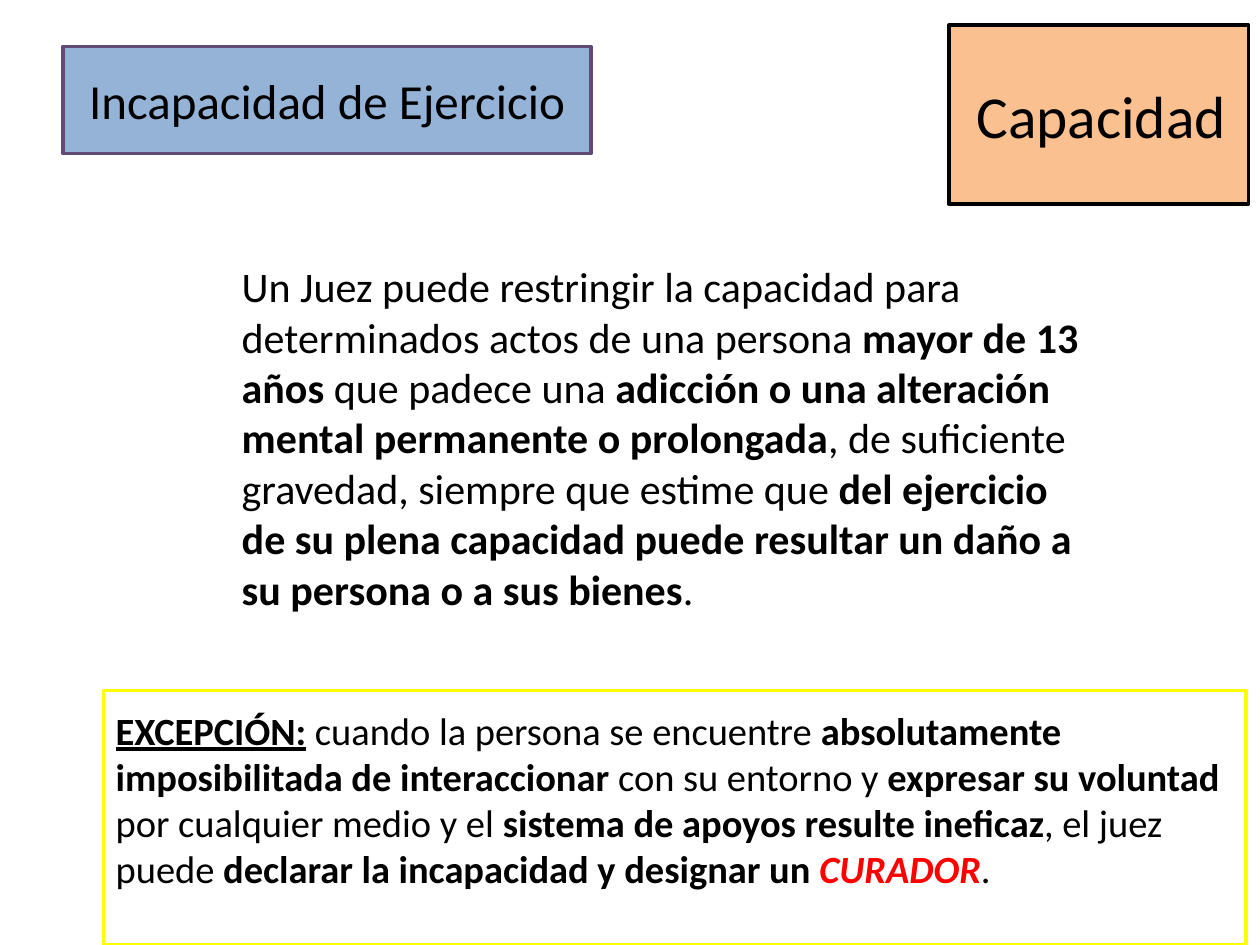
from dataclasses import dataclass

from pptx import Presentation
from pptx.dml.color import RGBColor
from pptx.enum.shapes import MSO_SHAPE
from pptx.enum.text import MSO_ANCHOR, PP_ALIGN
from pptx.util import Inches, Pt

FONT = "Calibri"
BLACK = "000000"


@dataclass(frozen=True)
class Span:
    text: str
    bold: bool = False
    italic: bool = False
    underline: bool = False
    color: str = ""


@dataclass(frozen=True)
class Panel:
    left: float
    top: float
    width: float
    height: float
    size: int
    spans: tuple[Span, ...]
    fill: str = ""
    line: str = ""
    align: PP_ALIGN = PP_ALIGN.LEFT
    anchor: MSO_ANCHOR = MSO_ANCHOR.TOP
    insets: tuple[float, float, float, float] = (0.1, 0.05, 0.1, 0.05)


HEADING = Panel(0.5, 0.37, 4.19, 0.85, 28, (Span("Incapacidad de Ejercicio"),),
                "95B3D7", "5F4A78", PP_ALIGN.CENTER, MSO_ANCHOR.MIDDLE)
TOPIC = Panel(7.53, 0.2, 2.38, 1.42, 34, (Span("Capacidad"),),
              "FAC090", BLACK, PP_ALIGN.CENTER, MSO_ANCHOR.MIDDLE,
              (0.18, 0.14, 0.14, 0.14))
RULE = Panel(1.82, 2.02, 6.95, 3.33, 24, (
    Span("Un Juez puede restringir la capacidad para determinados actos de una persona "),
    Span("mayor de 13 años", bold=True),
    Span(" que padece una "),
    Span("adicción o una alteración mental permanente o prolongada", bold=True),
    Span(", de suficiente gravedad, siempre que estime que "),
    Span("del ejercicio de su plena capacidad puede resultar un daño a "
         "su persona o a sus bienes", bold=True),
    Span("."),
))
EXCEPTION = Panel(0.82, 5.48, 9.07, 2.02, 22, (
    Span("EXCEPCIÓN:", bold=True, underline=True),
    Span(" cuando la persona se encuentre "),
    Span("absolutamente imposibilitada de interaccionar", bold=True),
    Span(" con su entorno y "),
    Span("expresar su voluntad", bold=True),
    Span(" por cualquier medio y el "),
    Span("sistema de apoyos resulte ineficaz", bold=True),
    Span(", el juez puede "),
    Span("declarar la incapacidad y designar un ", bold=True),
    Span("CURADOR", bold=True, italic=True, color="FF0000"),
    Span("."),
), line="FFFF00", insets=(0.1, 0.13, 0.17, 0.05))


def rgb(value: str) -> RGBColor:
    return RGBColor.from_string(value)


def bounds(panel: Panel) -> tuple[Inches, ...]:
    return tuple(Inches(v) for v in (panel.left, panel.top, panel.width, panel.height))


def paint(shape, panel: Panel) -> None:
    """Apply the panel's fill and outline."""
    if panel.fill:
        shape.fill.solid()
        shape.fill.fore_color.rgb = rgb(panel.fill)
    else:
        shape.fill.background()
    if panel.line:
        shape.line.color.rgb = rgb(panel.line)
        shape.line.width = Pt(2)


def write(shape, panel: Panel) -> None:
    frame = shape.text_frame
    frame.word_wrap = True
    frame.vertical_anchor = panel.anchor
    (frame.margin_left, frame.margin_top,
     frame.margin_right, frame.margin_bottom) = map(Inches, panel.insets)
    paragraph = frame.paragraphs[0]
    paragraph.alignment = panel.align
    paragraph.font.name = FONT
    paragraph.font.size = Pt(panel.size)
    paragraph.font.color.rgb = rgb(BLACK)
    for span in panel.spans:
        run = paragraph.add_run()
        run.text = span.text
        if span.bold:
            run.font.bold = True
        if span.italic:
            run.font.italic = True
        if span.underline:
            run.font.underline = True
        if span.color:
            run.font.color.rgb = rgb(span.color)


def add_heading(slide, panel: Panel) -> None:
    title = slide.shapes.title
    title.left, title.top, title.width, title.height = bounds(panel)
    paint(title, panel)
    write(title, panel)


def add_box(slide, panel: Panel) -> None:
    box = slide.shapes.add_shape(MSO_SHAPE.RECTANGLE, *bounds(panel))
    box.shadow.inherit = False
    paint(box, panel)
    write(box, panel)


def add_text(slide, panel: Panel) -> None:
    write(slide.shapes.add_textbox(*bounds(panel)), panel)


def main() -> None:
    deck = Presentation()
    deck.slide_width, deck.slide_height = Inches(10), Inches(7.5)
    slide = deck.slides.add_slide(deck.slide_layouts[5])
    add_heading(slide, HEADING)
    add_box(slide, TOPIC)
    add_text(slide, RULE)
    add_box(slide, EXCEPTION)
    deck.save("out.pptx")


if __name__ == "__main__":
    main()
